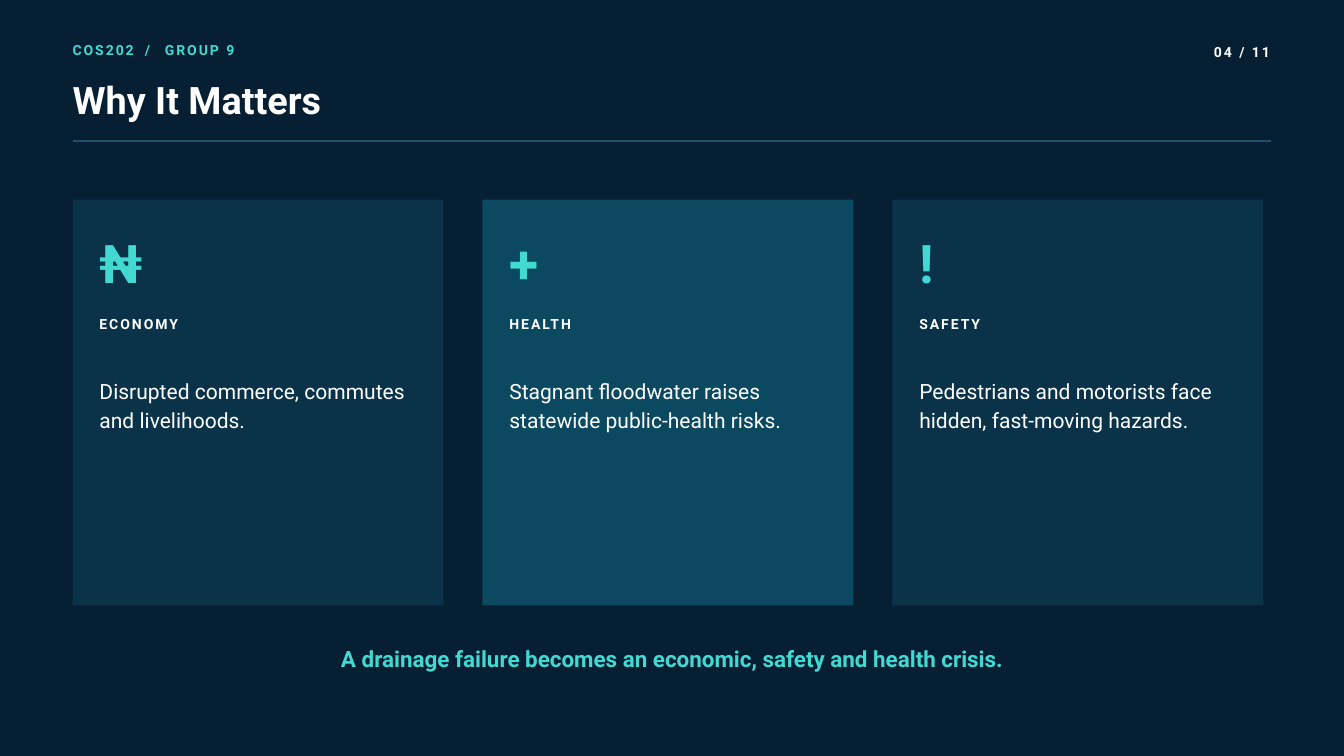
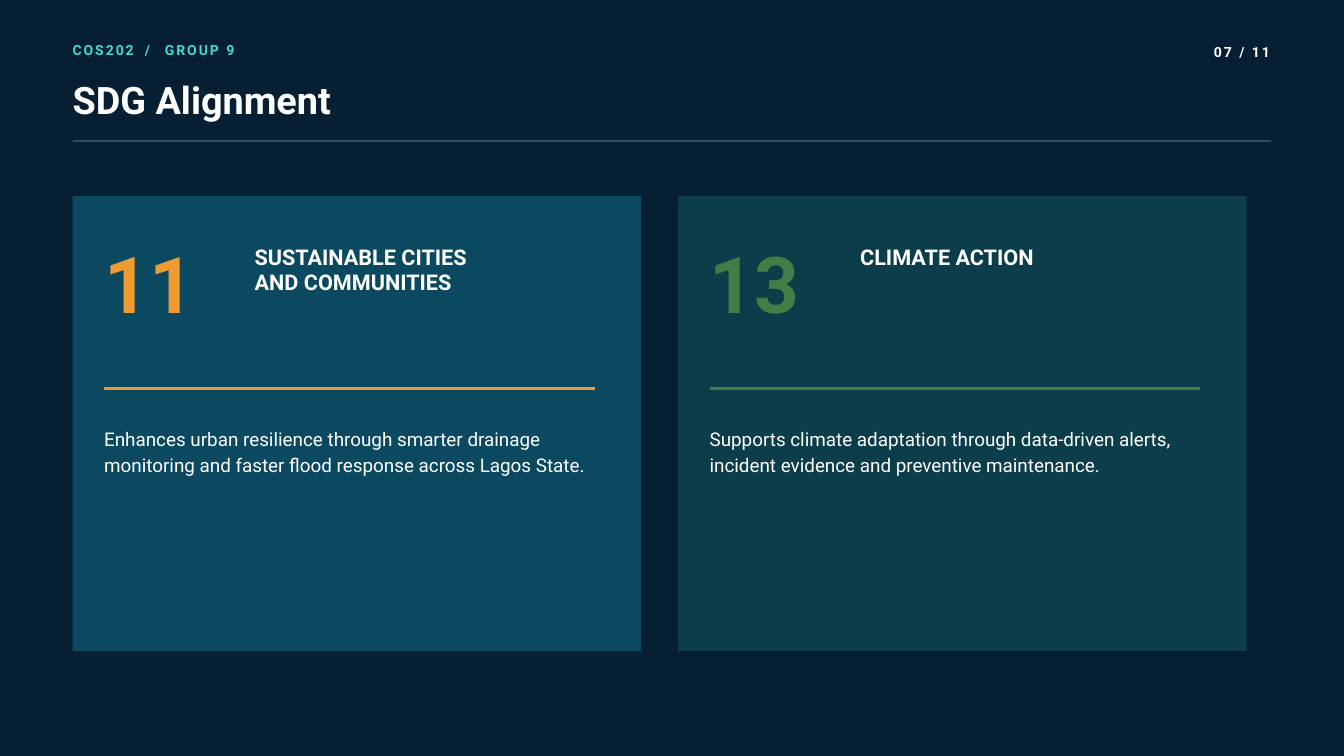
from pptx import Presentation
from pptx.dml.color import RGBColor
from pptx.enum.shapes import MSO_CONNECTOR, MSO_SHAPE
from pptx.enum.text import MSO_ANCHOR, MSO_AUTO_SIZE, PP_ALIGN
from pptx.oxml.ns import qn
from pptx.util import Inches, Pt
from lxml import etree

RECTANGLE = MSO_SHAPE.RECTANGLE
STRAIGHT = MSO_CONNECTOR.STRAIGHT
TOP = MSO_ANCHOR.TOP
NO_AUTOFIT = MSO_AUTO_SIZE.NONE
LEFT, CENTER, RIGHT = PP_ALIGN.LEFT, PP_ALIGN.CENTER, PP_ALIGN.RIGHT

FONT = "Roboto"
COLORS = {
    "background": "071F33",
    "white": "FFFFFF",
    "accent": "42D9D2",
    "rule": "24506A",
    "card": "0A3349",
    "card_bright": "0B4961",
    "card_green": "0B3D4B",
    "orange": "F09B32",
    "green": "3F7E44",
}
SLIDE_WIDTH, SLIDE_HEIGHT = 20, 11.25
MARGIN = 1.08
PAGE_COUNT = 11
SEPARATOR = " / "
LABEL = {"size": 15, "leading": 21, "bold": True, "spacing": 2.1}

IMPACTS = [
    ("₦", "ECONOMY", "Disrupted commerce, commutes and livelihoods.", "card"),
    ("+", "HEALTH", "Stagnant floodwater raises statewide public-health risks.", "card_bright"),
    ("!", "SAFETY", "Pedestrians and motorists face hidden, fast-moving hazards.", "card"),
]
GOALS = [
    ("11", "SUSTAINABLE CITIES\nAND COMMUNITIES",
     "Enhances urban resilience through smarter drainage monitoring "
     "and faster flood response across Lagos State.",
     "card_bright", "orange"),
    ("13", "CLIMATE ACTION",
     "Supports climate adaptation through data-driven alerts, "
     "incident evidence and preventive maintenance.",
     "card_green", "green"),
]


def rgb(name):
    """Return the palette colour with this name."""
    return RGBColor.from_string(COLORS[name])


def write_text(shape, text, size, leading, color="white", bold=False,
               spacing=0, separator_spacing=None, align=LEFT):
    """Fill a shape with formatted text, one paragraph per line."""
    frame = shape.text_frame
    frame.word_wrap = True
    frame.auto_size = NO_AUTOFIT
    frame.vertical_anchor = TOP
    frame.margin_left = frame.margin_right = frame.margin_top = frame.margin_bottom = 0
    if separator_spacing is None:
        separator_spacing = spacing
    for index, line in enumerate(text.split("\n")):
        paragraph = frame.add_paragraph() if index else frame.paragraphs[0]
        paragraph.alignment = align
        paragraph.line_spacing = Pt(leading)
        paragraph.space_before = Pt(0)
        for piece in filter(None, line.partition(SEPARATOR)):
            run = paragraph.add_run()
            run.text = piece
            run.font.name = FONT
            run.font.size = Pt(size)
            run.font.bold = bold
            run.font.color.rgb = rgb(color)
            tracking = separator_spacing if piece == SEPARATOR else spacing
            if tracking:
                run._r.get_or_add_rPr().set("spc", str(round(tracking * 100)))


def add_text(slide, text, left, top, width, height, **style):
    """Add a text box with formatted text."""
    box = slide.shapes.add_textbox(Inches(left), Inches(top), Inches(width), Inches(height))
    write_text(box, text, **style)


def add_rule(slide, left, top, width, color, weight):
    """Add a horizontal line."""
    line = slide.shapes.add_connector(
        STRAIGHT, Inches(left), Inches(top), Inches(left + width), Inches(top))
    line.line.color.rgb = rgb(color)
    line.line.width = Pt(weight)
    etree.SubElement(line._element.spPr, qn("a:effectLst"))


def add_panel(slide, left, top, width, height, color):
    """Add a plain filled rectangle."""
    panel = slide.shapes.add_shape(
        RECTANGLE, Inches(left), Inches(top), Inches(width), Inches(height))
    panel.shadow.inherit = False
    panel.fill.solid()
    panel.fill.fore_color.rgb = rgb(color)
    panel.line.fill.background()


def add_page(presentation, title, number):
    """Add a slide with the shared background and header."""
    slide = presentation.slides.add_slide(presentation.slide_layouts[5])
    slide.background.fill.solid()
    slide.background.fill.fore_color.rgb = rgb("background")
    heading = slide.shapes.title
    heading.left, heading.top = Inches(MARGIN), Inches(1.21)
    heading.width, heading.height = Inches(15.1), Inches(0.63)
    write_text(heading, title, size=40.5, leading=43.7, bold=True)
    add_text(slide, "COS202 / GROUP 9", MARGIN, 0.57, 4.27, 0.28,
             color="accent", separator_spacing=6, **LABEL)
    add_text(slide, f"{number:02} / {PAGE_COUNT}", 17.81, 0.61, 1.09, 0.28,
             align=RIGHT, **LABEL)
    add_rule(slide, MARGIN, 2.1, SLIDE_WIDTH - 2 * MARGIN, "rule", 2)
    return slide


def add_impact_card(slide, left, top, width, height, symbol, name, effect, color):
    """Add a card with a symbol, a label and an effect."""
    inset = 0.4
    text_width = 4.69
    add_panel(slide, left, top, width, height, color)
    add_text(slide, symbol, left + inset, top + 0.3, 1.15, 1.03,
             size=57, leading=79.8, color="accent", bold=True)
    add_text(slide, name, left + inset, top + 1.69, text_width, 0.28, **LABEL)
    add_text(slide, effect, left + inset, top + 2.62, text_width, 0.82,
             size=22.5, leading=30.4)


def add_goal_card(slide, left, top, width, height, number, name, benefit, color, accent):
    """Add a card with a goal number, its name, a rule and a benefit."""
    inset = 0.47
    add_panel(slide, left, top, width, height, color)
    add_text(slide, number, left + inset, top + 0.34, 1.98, 1.52,
             size=84, leading=117.6, color=accent, bold=True)
    add_text(slide, name, left + 2.71, top + 0.74, 5.21, 0.36 * len(name.split("\n")),
             size=23.2, leading=26, bold=True)
    add_rule(slide, left + inset, top + 2.86, 7.3, accent, 4)
    add_text(slide, benefit, left + inset, top + 3.41, 7.29, 0.75,
             size=20.2, leading=27.1)


def add_card_row(slide, add_card, cards, top, width, height, gap):
    """Place equal cards side by side from the left margin."""
    for index, card in enumerate(cards):
        add_card(slide, MARGIN + index * (width + gap), top, width, height, *card)


def build_impact_slide(presentation):
    """Build the slide on why the problem matters."""
    slide = add_page(presentation, "Why It Matters", 4)
    add_card_row(slide, add_impact_card, IMPACTS, top=2.97, width=5.52, height=6.04, gap=0.58)
    add_text(slide, "A drainage failure becomes an economic, safety and health crisis.",
             2.5, 9.53, 15, 0.44, size=24, leading=33.6, color="accent",
             bold=True, align=CENTER)


def build_goals_slide(presentation):
    """Build the slide on the development goals."""
    slide = add_page(presentation, "SDG Alignment", 7)
    add_card_row(slide, add_goal_card, GOALS, top=2.92, width=8.46, height=6.77, gap=0.55)


def main():
    """Build and save the presentation."""
    presentation = Presentation()
    presentation.slide_width = Inches(SLIDE_WIDTH)
    presentation.slide_height = Inches(SLIDE_HEIGHT)
    build_impact_slide(presentation)
    build_goals_slide(presentation)
    presentation.save("out.pptx")


if __name__ == "__main__":
    main()
